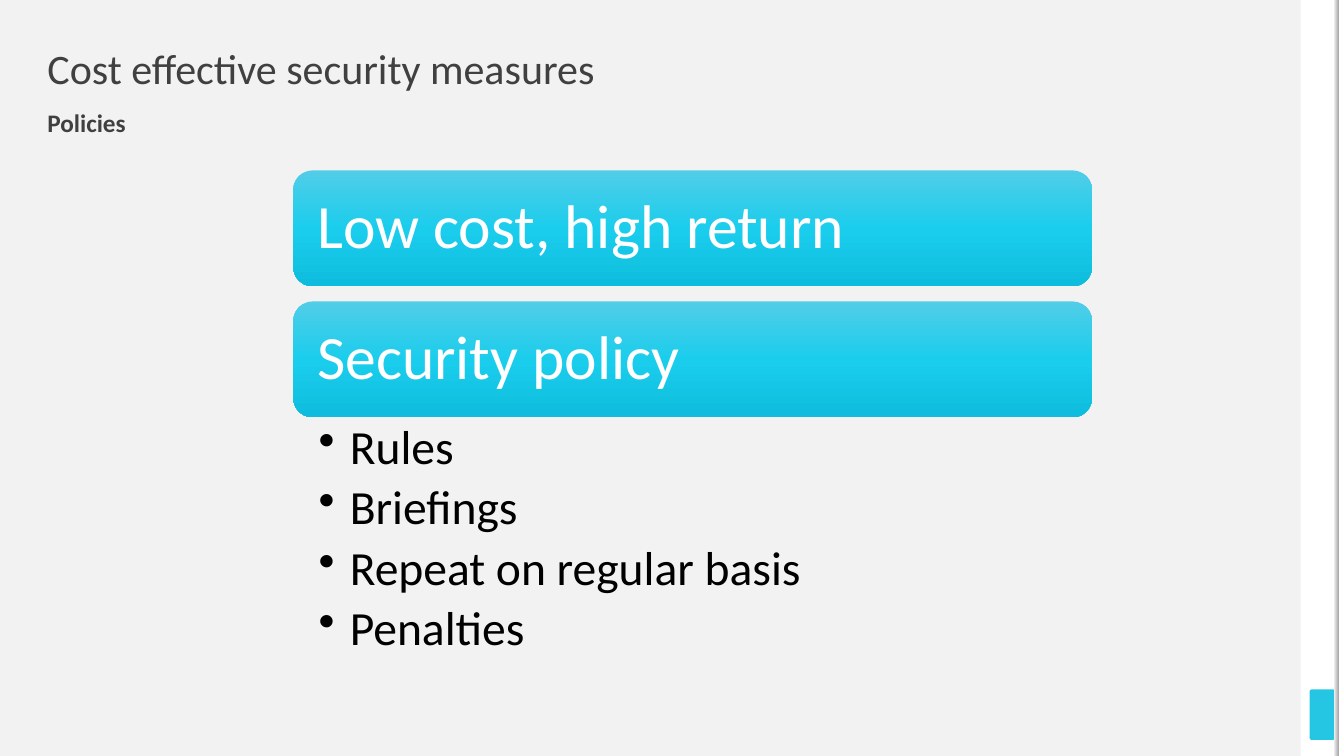
"""Build the slide on cost effective security policies."""
import lxml.etree
import pptx
import pptx.dml.color
import pptx.enum.shapes
import pptx.enum.text
import pptx.oxml.ns
import pptx.util

TITLE = "Cost effective security measures"
SUBTITLE = "Policies"
CARDS = ["Low cost, high return", "Security policy"]
RULES = ["Rules", "Briefings", "Repeat on regular basis", "Penalties"]

THEME = {
    "font": "Calibri",
    "bg": "F2F2F2", "band": "FFFFFF", "accent": "25C6E3",
    "heading": "404040", "on_card": "FFFFFF", "body": "000000",
    "card": [(0, "51CDE8"), (50, "1BCDEC"), (100, "0EBDDD")],
    "edge": [(0, "F2F2F2"), (100, "A6A6A6")],
    "title_pt": 30, "subtitle_pt": 18, "card_pt": 44, "rule_pt": 34,
}
WIDTH, HEIGHT = 13.33, 7.5
MARGIN, HEADING_W = 0.47, 5.98
LIST_X, LIST_Y, LIST_W = 2.91, 1.69, 7.92
CARD_H, CARD_STEP = 1.15, 1.3
RULES_H, INDENT = 2.59, 0.31
BAND_X, BAND_W, EDGE_W = 12.9, 0.39, 0.05

INCH = pptx.util.Inches
SHAPE = pptx.enum.shapes.MSO_SHAPE
ANCHOR = pptx.enum.text.MSO_ANCHOR
QN = pptx.oxml.ns.qn


def rgb(value):
    return pptx.dml.color.RGBColor.from_string(value)


def set_gradient(fill, stops, angle):
    fill.gradient()
    fill.gradient_angle = angle
    gs_list = fill.gradient_stops[0]._gs.getparent()
    for gs in list(gs_list):
        gs_list.remove(gs)
    for pos, color in stops:
        gs = lxml.etree.SubElement(gs_list, QN("a:gs"), pos=str(pos * 1000))
        lxml.etree.SubElement(gs, QN("a:srgbClr"), val=color)


def add_block(s, kind, box, fill, angle=0):
    sp = s.shapes.add_shape(kind, *map(INCH, box))
    sp.shadow.inherit = False
    sp.line.fill.background()
    if isinstance(fill, str):
        sp.fill.solid()
        sp.fill.fore_color.rgb = rgb(fill)
    else:
        set_gradient(sp.fill, fill, angle)
    return sp


def write(sp, lines, size, color, insets=(0, 0, 0, 0), anchor=ANCHOR.TOP, bold=False):
    tf = sp.text_frame
    tf.word_wrap = True
    tf.auto_size = pptx.enum.text.MSO_AUTO_SIZE.NONE
    tf.vertical_anchor = anchor
    tf.margin_left, tf.margin_top, tf.margin_right, tf.margin_bottom = map(INCH, insets)
    tf.text = "\n".join(lines)
    for p in tf.paragraphs:
        p.alignment = pptx.enum.text.PP_ALIGN.LEFT
        p.line_spacing = 0.9
        for r in p.runs:
            r.font.name = THEME["font"]
            r.font.size = pptx.util.Pt(size)
            r.font.bold = bold
            r.font.color.rgb = rgb(color)
    return tf


def add_bullets(tf):
    for p in tf.paragraphs:
        p.space_after = pptx.util.Pt(6.5)
        props = p._p.get_or_add_pPr()
        props.set("marL", str(INCH(INDENT)))
        props.set("indent", str(-INCH(INDENT)))
        lxml.etree.SubElement(props, QN("a:buChar"), char="•")


def add_side_band(s):
    add_block(s, SHAPE.RECTANGLE, (BAND_X, 0, BAND_W, HEIGHT), THEME["band"])
    marker = add_block(s, SHAPE.ROUNDED_RECTANGLE, (12.95 + 0.04, 6.84, 0.25, 0.5), THEME["accent"])
    marker.adjustments[0] = 0.07
    add_block(s, SHAPE.RECTANGLE, (WIDTH - EDGE_W, 0, EDGE_W, HEIGHT), THEME["band"])
    add_block(s, SHAPE.RECTANGLE, (WIDTH - 2 * EDGE_W, 0, EDGE_W, HEIGHT), THEME["edge"])


def add_headings(s):
    title = s.shapes.title
    title.left, title.top, title.width, title.height = map(INCH, (MARGIN, MARGIN, HEADING_W, 0.47))
    write(title, [TITLE], THEME["title_pt"], THEME["heading"], anchor=ANCHOR.MIDDLE)
    subtitle = s.shapes.add_textbox(*map(INCH, (MARGIN, 1.1, HEADING_W, 0.39)))
    write(subtitle, [SUBTITLE], THEME["subtitle_pt"], THEME["heading"], bold=True)


def add_policies(s):
    for i, label in enumerate(CARDS):
        box = (LIST_X, LIST_Y + i * CARD_STEP, LIST_W, CARD_H)
        card = add_block(s, SHAPE.ROUNDED_RECTANGLE, box, THEME["card"], 270)
        write(card, [label], THEME["card_pt"], THEME["on_card"], (0.18,) * 4, ANCHOR.MIDDLE)
    top = LIST_Y + (len(CARDS) - 1) * CARD_STEP + CARD_H
    rules = s.shapes.add_textbox(*map(INCH, (LIST_X, top, LIST_W, RULES_H)))
    add_bullets(write(rules, RULES, THEME["rule_pt"], THEME["body"], (0.25, 0.06, 0.34, 0.06)))


def main():
    prs = pptx.Presentation()
    prs.slide_width, prs.slide_height = INCH(WIDTH), INCH(HEIGHT)
    s = prs.slides.add_slide(prs.slide_layouts[5])
    s.background.fill.solid()
    s.background.fill.fore_color.rgb = rgb(THEME["bg"])
    add_side_band(s)
    add_headings(s)
    add_policies(s)
    prs.save("out.pptx")


if __name__ == "__main__":
    main()
